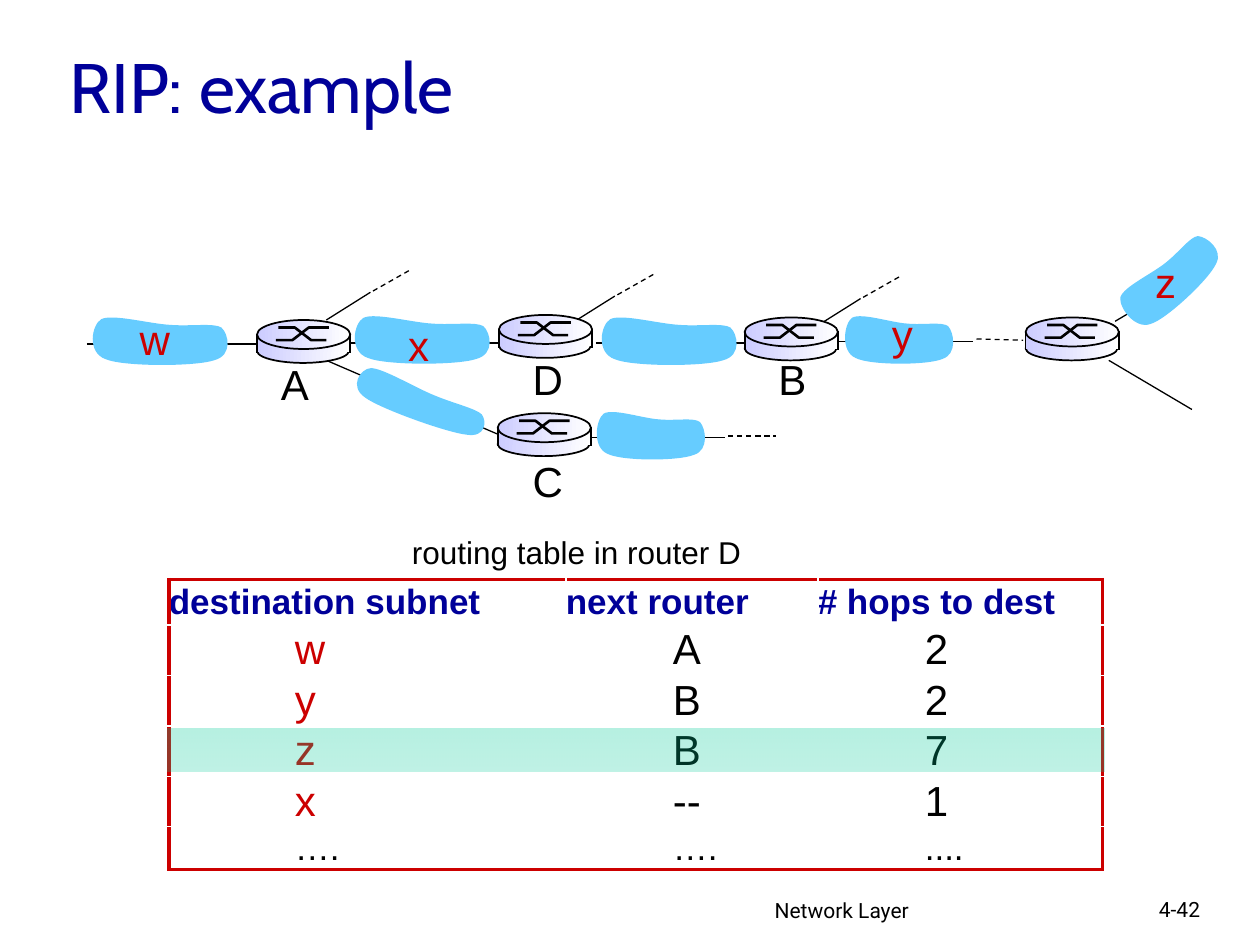
from lxml import etree
from pptx import Presentation
from pptx.dml.color import RGBColor
from pptx.enum.dml import MSO_LINE
from pptx.enum.shapes import MSO_CONNECTOR, MSO_SHAPE
from pptx.enum.text import MSO_ANCHOR, MSO_AUTO_SIZE
from pptx.oxml.ns import qn
from pptx.util import Inches, Pt

BLACK = RGBColor(0x00, 0x00, 0x00)
NAVY = RGBColor(0x00, 0x00, 0x99)
RED = RGBColor(0xCC, 0x00, 0x00)
SKY = RGBColor(0x66, 0xCC, 0xFF)
LILAC = RGBColor(0xCC, 0xCC, 0xFF)
WHITE = RGBColor(0xFF, 0xFF, 0xFF)
GREEN = RGBColor(0x00, 0xCC, 0x99)
STRAIGHT = MSO_CONNECTOR.STRAIGHT
DASH = MSO_LINE.DASH
OVAL, RECT = MSO_SHAPE.OVAL, MSO_SHAPE.RECTANGLE
MIDDLE = MSO_ANCHOR.MIDDLE
FIT = MSO_AUTO_SIZE.SHAPE_TO_FIT_TEXT

# text, left, top, width, height, size, font, colour
TEXTS = [
    ("Network Layer", 6.05, 7.07, 3.17, 0.31, 12, "Roboto", BLACK),
    ("4-42", 9.1, 7.07, 0.74, 0.3, 12, "Roboto", BLACK),
    ("RIP: example", 0.45, 0.21, 4.31, 0.94, 40, "Cabin", NAVY),
]
# text, left, top, width, height, size, colour
LABELS = [
    ("routing table in router D", 3.17, 4.18, 2.81, 0.4, 18, BLACK),
    ("w", 1.01, 2.44, 0.44, 0.5, 24, RED),
    ("x", 3.14, 2.49, 0.37, 0.5, 24, RED),
    ("y", 6.98, 2.4, 0.37, 0.5, 24, RED),
    ("z", 9.07, 1.99, 0.37, 0.5, 24, RED),
    ("A", 2.13, 2.8, 0.42, 0.5, 24, BLACK),
    ("C", 4.13, 3.57, 0.44, 0.5, 24, BLACK),
    ("D", 4.13, 2.76, 0.44, 0.5, 24, BLACK),
    ("B", 6.08, 2.76, 0.42, 0.5, 24, BLACK),
]
# x1, y1, x2, y2, width, dash
LINKS = [
    (6.65, 2.71, 7.72, 2.71, 0.75, None),
    (2.77, 2.72, 4.12, 2.72, 1, None),
    (4.73, 2.72, 6.09, 2.72, 1, None),
    (0.69, 2.73, 2.05, 2.73, 1, None),
    (8.85, 2.55, 9.51, 2.16, 0.75, None),
    (8.8, 2.86, 9.46, 3.25, 0.75, None),
    (2.59, 2.86, 3.96, 3.45, 0.75, None),
    (4.68, 3.47, 5.75, 3.47, 0.75, None),
    (7.75, 2.69, 8.12, 2.7, 0.75, DASH),
    (5.78, 3.46, 6.16, 3.46, 0.75, DASH),
]
SPURS = [(6.48, 2.59), (4.53, 2.57), (2.59, 2.54)]

# left, top, width, height, turn
SUBNETS = [
    (2.77, 2.48, 1.16, 0.42, 0),
    (2.76, 3.04, 1.16, 0.31, 19.7),
    (0.69, 2.49, 1.16, 0.42, 0),
    (4.73, 2.49, 1.16, 0.42, 0),
    (6.67, 2.48, 0.93, 0.42, 0),
    (8.81, 2.01, 0.95, 0.42, 316.8),
    (4.7, 3.24, 0.93, 0.42, 0),
]
# Start point, then three Bezier points for each curve, as shares of the frame
BLOB = [
    (0.57, 0.21),
    (0.43, 0.19), (0.18, 0), (0.1, 0.1),
    (0.03, 0.21), (0, 0.74), (0.13, 0.86),
    (0.25, 1), (0.74, 1), (0.87, 0.88),
    (1, 0.79), (0.97, 0.38), (0.92, 0.26),
    (0.87, 0.17), (0.71, 0.24), (0.57, 0.21),
]

ROUTERS = [(3.96, 2.5), (5.91, 2.52), (8.14, 2.52), (3.95, 3.28), (2.04, 2.54)]
# preset, left, top, width, height, outlined; offsets inside a router
PARTS = [
    (OVAL, 0, 0.15, 0.73, 0.19, True),
    (RECT, 0, 0.13, 0.74, 0.12, False),
    (OVAL, 0, 0, 0.74, 0.23, True),
]
CROSS = [
    [(0.15, 0.16), (0.28, 0.16), (0.41, 0.06), (0.57, 0.06)],
    [(0.17, 0.06), (0.3, 0.06), (0.43, 0.16), (0.55, 0.16)],
]

HEADS = ["destination subnet", "next router", "# hops to dest"]
ROUTES = [
    ("w", "A", "2"),
    ("y", "B", "2"),
    ("z", "B", "7"),
    ("x", "--", "1"),
    ("….", "….", "...."),
]
COLS = [3.15, 2, 2.26]
ROWS = [0.36, 0.4, 0.4, 0.4, 0.4, 0.34]
INDENTS = [1, 0.85, 0.85]


def style(para, size, font, color, bold=False):
    para.font.size, para.font.name = Pt(size), font
    para.font.color.rgb, para.font.bold = color, bold


def write(shapes, text, x, y, w, h, size, font, color):
    box = shapes.add_textbox(Inches(x), Inches(y), Inches(w), Inches(h))
    frame = box.text_frame
    frame.text, frame.word_wrap = text, True
    style(frame.paragraphs[0], size, font, color)
    return frame


def link(shapes, x1, y1, x2, y2, width, dash=None):
    line = shapes.add_connector(STRAIGHT, *map(Inches, (x1, y1, x2, y2)))
    line.line.color.rgb, line.line.width = BLACK, Pt(width)
    if dash:
        line.line.dash_style = dash
    etree.SubElement(line.element.spPr, qn("a:effectLst"))


def trace(shapes, points, close):
    spots = [(Inches(x), Inches(y)) for x, y in points]
    pen = shapes.build_freeform(*spots[0])
    pen.add_line_segments(spots[1:], close=close)
    shape = pen.convert_to_shape()
    shape.shadow.inherit = False
    return shape


def curve(shape):
    """Turn each three line points of the outline into one Bezier curve."""
    route = shape.element.find(".//" + qn("a:path"))
    steps = route.findall(qn("a:lnTo"))
    for i in range(0, len(steps), 3):
        bend = etree.Element(qn("a:cubicBezTo"))
        steps[i].addprevious(bend)
        for step in steps[i:i + 3]:
            bend.append(step[0])
            route.remove(step)


def subnet(shapes, x, y, w, h, turn):
    shape = trace(shapes, [(x + w * u, y + h * v) for u, v in BLOB], True)
    curve(shape)
    shape.rotation = turn
    shape.fill.solid()
    shape.fill.fore_color.rgb = SKY
    shape.line.fill.background()


def block(shapes, preset, x, y, w, h, colors, angle):
    """Add a preset shape with a two-colour gradient and no line."""
    shape = shapes.add_shape(preset, *map(Inches, (x, y, w, h)))
    shape.shadow.inherit = False
    shape.fill.gradient()
    shape.fill.gradient_angle = angle
    for stop, color in zip(shape.fill.gradient_stops, colors):
        stop.color.rgb = color
    shape.line.fill.background()
    return shape


def router(slide, x, y):
    shapes = slide.shapes.add_group_shape().shapes
    for preset, dx, dy, w, h, edge in PARTS:
        part = block(shapes, preset, x + dx, y + dy, w, h, (LILAC, WHITE), 0)
        if edge:
            part.line.color.rgb, part.line.width = BLACK, Pt(1)
    for points in CROSS:
        mark = trace(shapes, [(x + dx, y + dy) for dx, dy in points], False)
        mark.fill.background()
        mark.line.color.rgb, mark.line.width = BLACK, Pt(1.5)
    for side in (x, x + 0.74):
        link(shapes, side, y + 0.11, side, y + 0.26, 1)


def border(cell, sides):
    props = cell._tc.get_or_add_tcPr()
    for i, side in enumerate(sides):
        line = etree.Element(qn("a:" + side), w=str(Pt(2.25)))
        fill = etree.SubElement(line, qn("a:solidFill"))
        etree.SubElement(fill, qn("a:srgbClr"), val=str(RED))
        props.insert(i, line)


def routing(shapes):
    table = shapes.add_table(len(ROWS), len(COLS), Inches(1.34), Inches(4.6),
                             Inches(sum(COLS)), Inches(sum(ROWS))).table
    table.first_row = table.horz_banding = False
    for col, width in zip(table.columns, COLS):
        col.width = Inches(width)
    for row, height in zip(table.rows, ROWS):
        row.height = Inches(height)
    last = len(ROWS) - 1
    for r, texts in enumerate([HEADS] + ROUTES):
        for c, text in enumerate(texts):
            cell = table.cell(r, c)
            cell.text = text
            cell.margin_right = cell.margin_top = cell.margin_bottom = 0
            cell.margin_left = Inches(INDENTS[c] if r else 0)
            cell.vertical_anchor = MIDDLE
            cell.fill.background()
            color = NAVY if r == 0 else RED if c == 0 and r < last else BLACK
            size = 20 if r in (0, last) else 24
            style(cell.text_frame.paragraphs[0], size, "Arial", color, r == 0)
            edges = {"lnL": c == 0, "lnR": c == len(COLS) - 1,
                     "lnT": r == 0, "lnB": r == last}
            border(cell, [side for side, on in edges.items() if on])


def main():
    deck = Presentation()
    deck.slide_width, deck.slide_height = Inches(10), Inches(7.5)
    slide = deck.slides.add_slide(deck.slide_layouts[6])
    shapes = slide.shapes
    for item in TEXTS:
        frame = write(shapes, *item)
    frame.vertical_anchor = MIDDLE
    routing(shapes)
    for item in LINKS:
        link(shapes, *item)
    for x, y in SPURS:
        link(shapes, x, y, x + 0.35, y - 0.22, 0.75)
        link(shapes, x + 0.37, y - 0.23, x + 0.67, y - 0.4, 0.75, DASH)
    for item in SUBNETS:
        subnet(shapes, *item)
    for *place, size, color in LABELS:
        frame = write(shapes, *place, size, "Arial", color)
        frame.word_wrap, frame.auto_size = False, FIT
    band = block(shapes, RECT, 1.33, 5.78, 7.44, 0.34, (GREEN, GREEN), 270)
    for tint, alpha in zip(band.element.iter(qn("a:srgbClr")), (29000, 25000)):
        etree.SubElement(tint, qn("a:alpha"), val=str(alpha))
    for x, y in ROUTERS:
        router(slide, x, y)
    deck.save("out.pptx")


if __name__ == "__main__":
    main()
